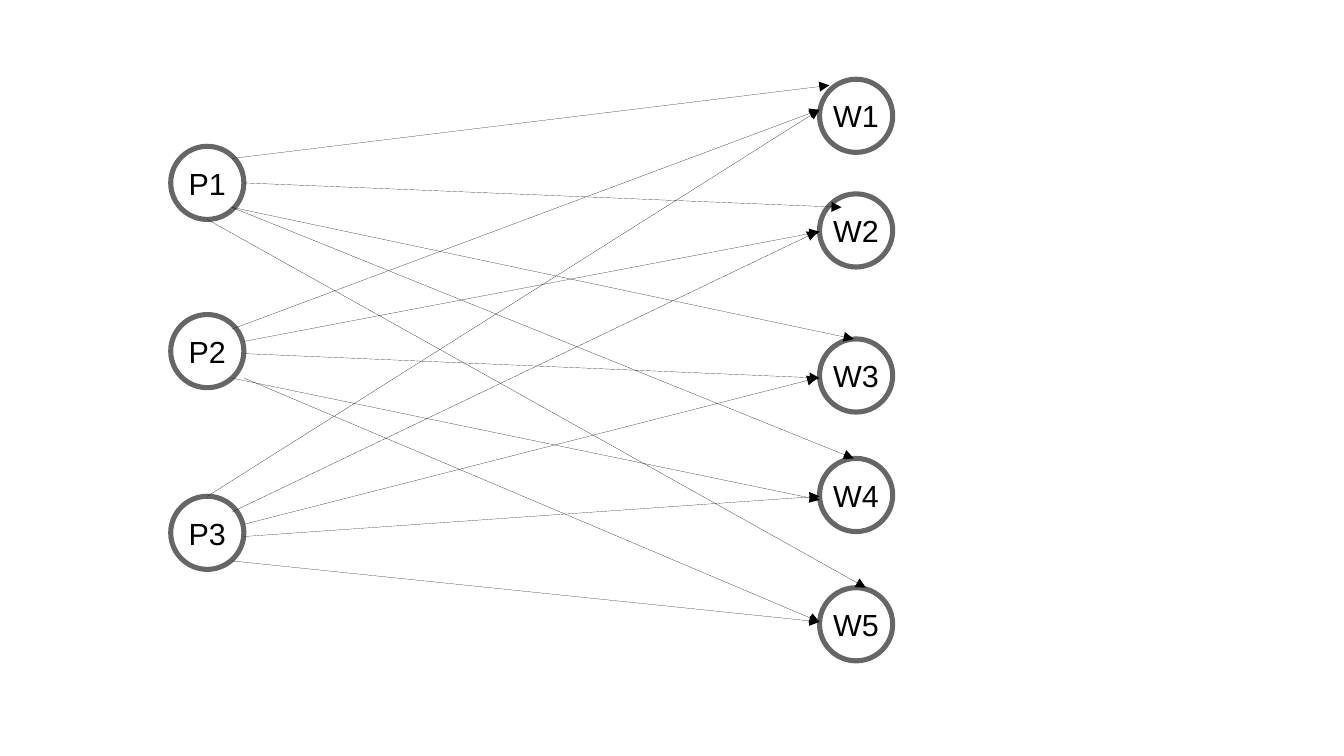
from lxml import etree
from pptx import Presentation
from pptx.dml.color import RGBColor
from pptx.enum.shapes import MSO_CONNECTOR, MSO_SHAPE
from pptx.enum.text import MSO_ANCHOR, PP_ALIGN
from pptx.oxml.ns import qn
from pptx.util import Inches, Pt

OVAL = MSO_SHAPE.OVAL
STRAIGHT = MSO_CONNECTOR.STRAIGHT
MIDDLE = MSO_ANCHOR.MIDDLE
CENTER = PP_ALIGN.CENTER

COLORS = {"ink": "000000"}
SIZE = 0.6
# Each column: letter, left edge, tops of its nodes
COLUMNS = [
    ("P", 1.4, [1.2, 2.58, 4.07]),
    ("W", 6.72, [0.65, 1.59, 2.78, 3.76, 4.82]),
]
# Start and end points, grouped by the P node they leave
ARROWS = {
    "P1": [
        ((1.9, 1.3), (6.8, 0.7)),
        ((2, 1.5), (6.9, 1.7)),
        ((1.9, 1.7), (7, 2.78)),
        ((1.9, 1.7), (7, 3.76)),
        ((1.7, 1.8), (7.1, 4.82)),
    ],
    "P2": [
        ((1.9, 2.7), (6.72, 0.9)),
        ((2, 2.9), (6.72, 3.1)),
        ((2, 2.8), (6.72, 1.9)),
        ((1.9, 3.1), (6.72, 4.1)),
        ((2, 3.1), (6.72, 5.1)),
    ],
    "P3": [
        ((1.7, 4.07), (6.72, 0.9)),
        ((1.9, 4.2), (6.7, 1.9)),
        ((2, 4.3), (6.7, 3.1)),
        ((2, 4.4), (6.72, 4.07)),
        ((1.9, 4.6), (6.72, 5.1)),
    ],
}


def ink():
    return RGBColor.from_string(COLORS["ink"])


def add_node(slide, label, left, top):
    node = slide.shapes.add_shape(
        OVAL, Inches(left), Inches(top), Inches(SIZE), Inches(SIZE))
    node.shadow.inherit = False
    node.fill.background()
    node.line.width = Pt(3)
    node.line.color.rgb = ink()
    color = node.element.spPr.find(qn("a:ln")).find(".//" + qn("a:srgbClr"))
    etree.SubElement(color, qn("a:alpha"), val="60000")

    frame = node.text_frame
    frame.text = label
    frame.word_wrap = False
    frame.vertical_anchor = MIDDLE
    frame.margin_left = frame.margin_right = Inches(0.12)
    frame.margin_top = frame.margin_bottom = Inches(0.07)
    para = frame.paragraphs[0]
    para.alignment = CENTER
    font = para.runs[0].font
    font.name = "Arial"
    font.size = Pt(18)
    font.color.rgb = ink()


def add_arrow(slide, start, end):
    """Add a hairline with a triangle at its end."""
    points = [Inches(value) for value in start + end]
    arrow = slide.shapes.add_connector(STRAIGHT, *points)
    arrow.line.color.rgb = ink()
    props = arrow.element.spPr
    line = props.find(qn("a:ln"))
    line.set("w", "0")
    etree.SubElement(line, qn("a:tailEnd"), type="triangle")
    etree.SubElement(props, qn("a:effectLst"))


def main():
    deck = Presentation()
    deck.slide_width = Inches(11.02)
    deck.slide_height = Inches(6.2)
    slide = deck.slides.add_slide(deck.slide_layouts[6])
    for letter, left, tops in COLUMNS:
        for index, top in enumerate(tops, 1):
            add_node(slide, f"{letter}{index}", left, top)
    for group in ARROWS.values():
        for start, end in group:
            add_arrow(slide, start, end)
    deck.save("out.pptx")


if __name__ == "__main__":
    main()
